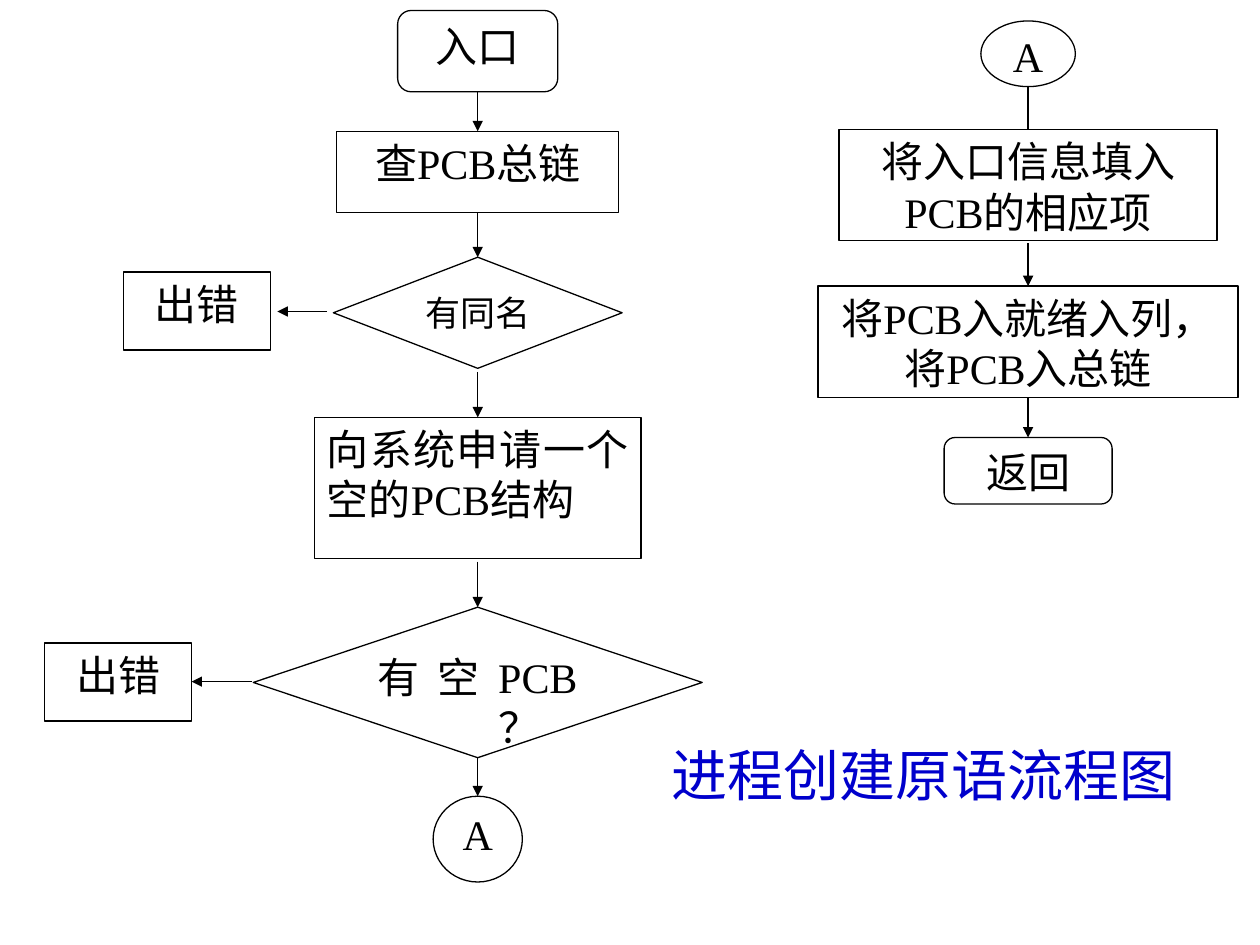
from lxml import etree
from pptx import Presentation
from pptx.dml.color import RGBColor
from pptx.enum.shapes import MSO_CONNECTOR, MSO_SHAPE
from pptx.enum.text import MSO_ANCHOR, PP_ALIGN
from pptx.oxml.ns import qn
from pptx.util import Pt

ROUND = MSO_SHAPE.FLOWCHART_ALTERNATE_PROCESS
STEP = MSO_SHAPE.FLOWCHART_PROCESS
TEST = MSO_SHAPE.FLOWCHART_DECISION
RECT, OVAL = MSO_SHAPE.RECTANGLE, MSO_SHAPE.OVAL
MID, FULL = PP_ALIGN.CENTER, PP_ALIGN.JUSTIFY

HUES = {"ink": "000000", "paper": "FFFFFF", "title": "0000CC"}
LATIN, HAN = "Times New Roman", "Noto Sans CJK JP"
TITLE = "进程创建原语流程图"

# Steps: text, shape, top, width, height, size, align, gap below before the arrow
LEFT = [
    ("入口", ROUND, 6, 91.5, 46.5, 24, MID, 0),
    ("查PCB总链", STEP, 75, 161, 46.5, 24, MID, 0),
    ("有同名", TEST, 147, 165, 63.5, 20, MID, 2),
    ("向系统申请一个空的PCB结构", RECT, 238.5, 186.5, 80.5, 24, FULL, 2),
    ("有空PCB\v？", TEST, 347, 256.5, 86, 24, FULL, 0),
    ("A", OVAL, 455, 51, 49, 24, MID, 0),
]
RIGHT = [
    ("A", OVAL, 12, 54, 37.5, 24, MID, 0),
    ("将入口信息填入PCB的相应项", RECT, 74, 216, 63.5, 24, MID, 1.5),
    ("将PCB入就绪入列，将PCB入总链", RECT, 163.5, 240, 63.5, 24, MID, 0),
    ("返回", ROUND, 250, 96, 38, 24, MID, 0),
]
LEFT_X, RIGHT_X = 273, 587.5
# Error exits: centre x, top, arrow start and end x, arrow y
ERRORS = [(112.5, 155.5, 187, 158.5, 178), (67.5, 367.5, 144, 109.5, 389.5)]


def color(name):
    return RGBColor.from_string(HUES[name])


def style(par, size, align, hue, latin):
    par.alignment = align
    font = par.font
    font.size, font.name = Pt(size), latin
    font.color.rgb = color(hue)
    par._p.pPr.find(qn("a:defRPr")).find(qn("a:latin")).addnext(
        etree.Element(qn("a:ea"), typeface=HAN))


def node(slide, mid, step):
    text, kind, top, wide, high, size, align, _ = step
    box = slide.shapes.add_shape(
        kind, Pt(mid - wide / 2), Pt(top), Pt(wide), Pt(high))
    box.shadow.inherit = False
    box.fill.solid()
    box.fill.fore_color.rgb = color("paper")
    box.line.color.rgb = color("ink")
    box.line.width = Pt(0.75)
    frame = box.text_frame
    frame.word_wrap = True
    frame.vertical_anchor = MSO_ANCHOR.TOP
    if kind == OVAL:
        frame.margin_left = frame.margin_right = 0
        frame.margin_top = frame.margin_bottom = 0
    par = frame.paragraphs[0]
    par.text = text
    style(par, size, align, "ink", LATIN)
    if "\v" in text:  # hang the question mark to the right
        par._p.pPr.set("marL", str(Pt(69)))
        par._p.pPr.set("indent", str(Pt(-69)))


def arrow(slide, x1, y1, x2, y2, head=True):
    line = slide.shapes.add_connector(
        MSO_CONNECTOR.STRAIGHT, Pt(x1), Pt(y1), Pt(x2), Pt(y2))
    line.line.color.rgb = color("ink")
    line.line.width = Pt(0.75)
    if head:
        etree.SubElement(line.line._get_or_add_ln(), qn("a:tailEnd"),
                         type="triangle")
    etree.SubElement(line._element.spPr, qn("a:effectLst"))


def column(slide, mid, steps, first=True):
    for step in steps:
        node(slide, mid, step)
    for i, (step, after) in enumerate(zip(steps, steps[1:])):
        end = step[2] + step[4] + step[7]
        arrow(slide, mid, end, mid, after[2], first or i > 0)


def main():
    deck = Presentation()
    deck.slide_width, deck.slide_height = Pt(720), Pt(540)
    slide = deck.slides.add_slide(deck.slide_layouts[5])

    # Title
    title = slide.shapes.title
    title.left, title.top = Pt(336), Pt(423.5)
    title.width, title.height = Pt(384), Pt(38)
    title.text_frame.vertical_anchor = MSO_ANCHOR.MIDDLE
    par = title.text_frame.paragraphs[0]
    par.text = TITLE
    style(par, 32, MID, "title", HAN)

    # Both columns; the line out of the right-hand connector has no head
    column(slide, LEFT_X, LEFT)
    column(slide, RIGHT_X, RIGHT, first=False)

    # Error exits
    for mid, top, x1, x2, y in ERRORS:
        node(slide, mid, ("出错", RECT, top, 84, 44.5, 24, MID, 0))
        arrow(slide, x1, y, x2, y)

    deck.save("out.pptx")


if __name__ == "__main__":
    main()
